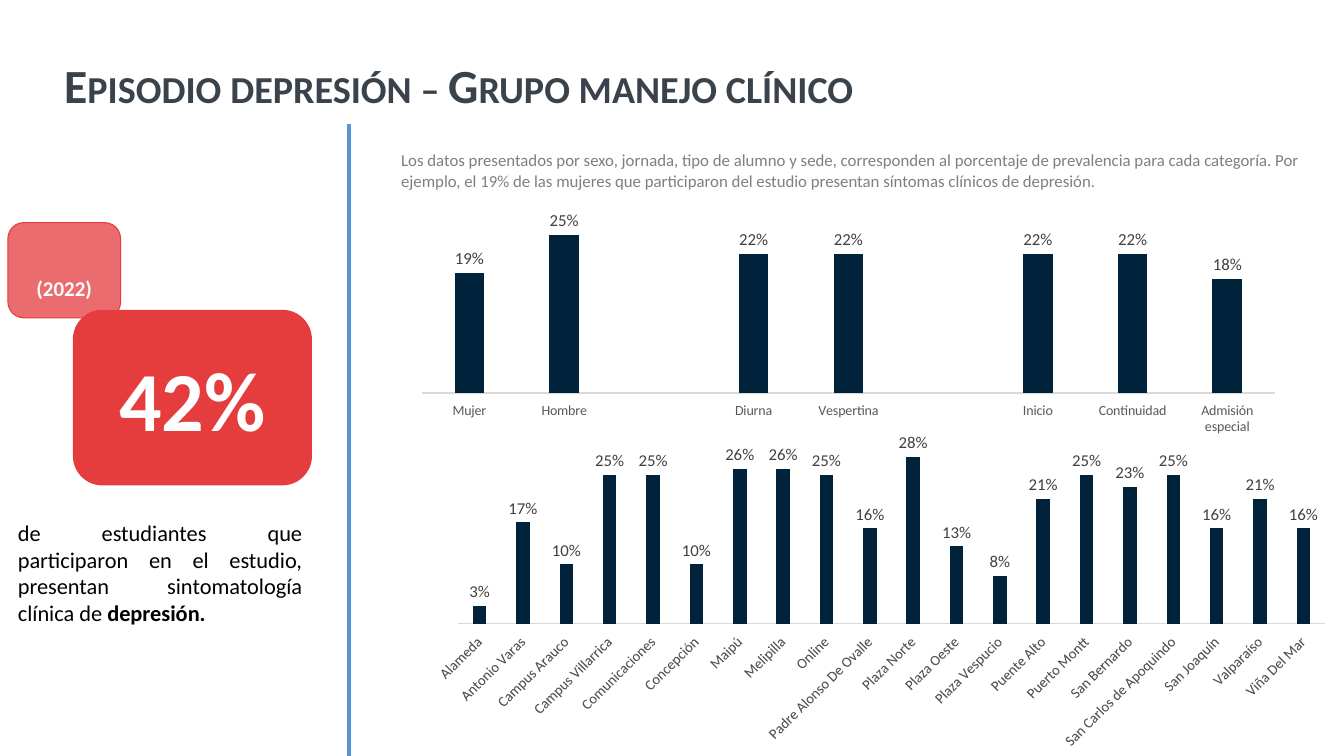
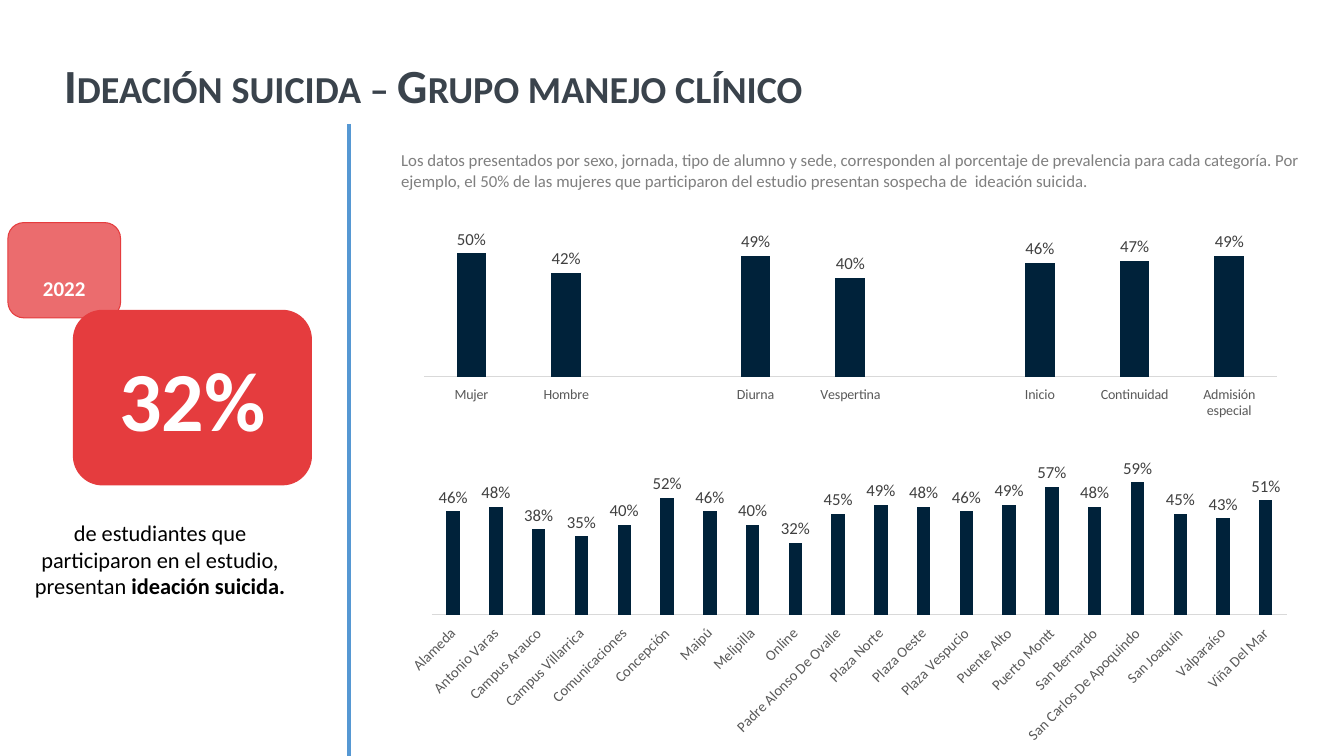
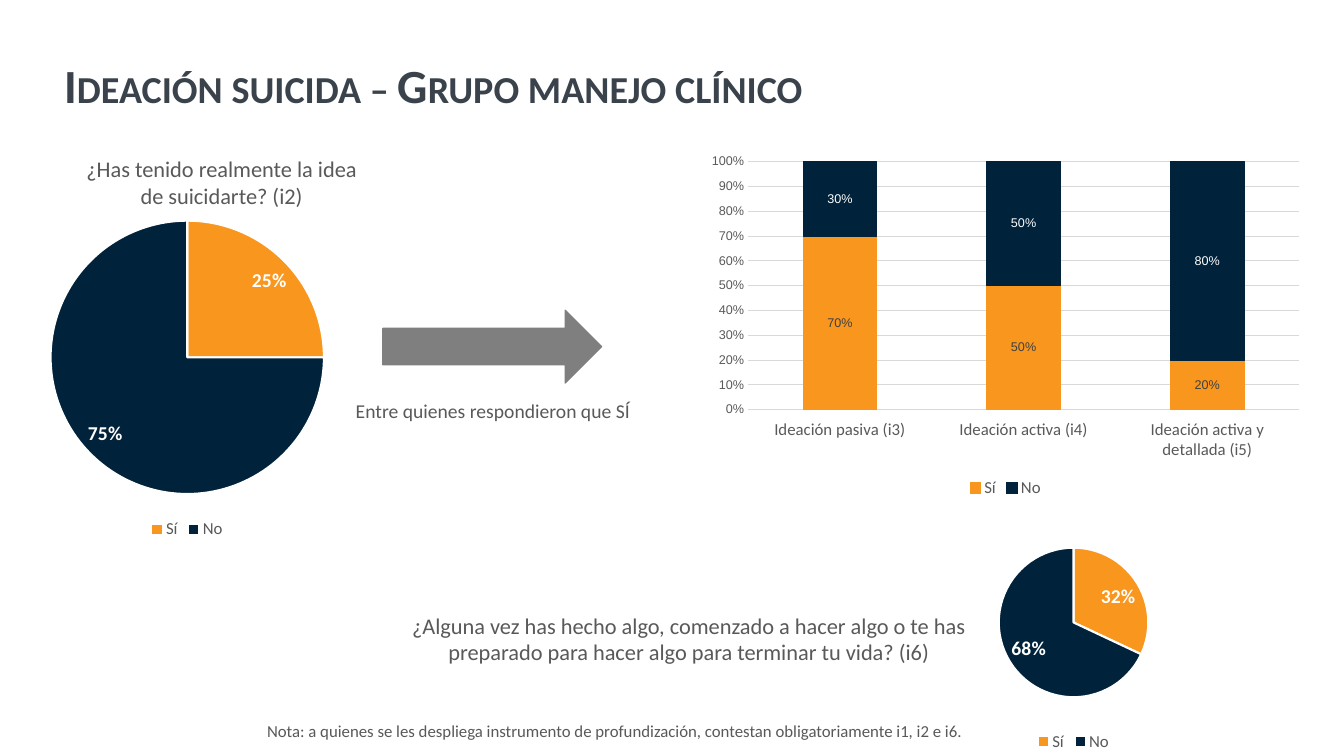
from dataclasses import dataclass

from lxml.etree import SubElement
from pptx import Presentation
from pptx.chart.data import CategoryChartData
from pptx.dml.color import RGBColor
from pptx.enum.chart import (
    XL_CHART_TYPE, XL_LABEL_POSITION, XL_LEGEND_POSITION, XL_TICK_LABEL_POSITION, XL_TICK_MARK,
)
from pptx.enum.shapes import MSO_CONNECTOR, MSO_SHAPE
from pptx.enum.text import MSO_ANCHOR, MSO_AUTO_SIZE, PP_ALIGN
from pptx.oxml.ns import qn
from pptx.util import Cm, Pt

COLORS = {
    "title": "3A434C", "accent": "E53C3E", "divider": "5698D3", "navy": "00223A",
    "orange": "F8961E", "note": "7F7F7F", "text": "595959", "label": "404040",
    "grid": "D9D9D9", "black": "000000", "white": "FFFFFF",
}
FONT = "Calibri"
CHART_FONT = "Arial"
PERCENT = "0%"
GROUPS = ["Mujer", "Hombre", "", "Diurna", "Vespertina", "",
          "Inicio", "Continuidad", "Admisión especial"]
CAMPUSES = ["Alameda", "Antonio Varas", "Campus Arauco", "Campus Villarrica", "Comunicaciones",
            "Concepción", "Maipú", "Melipilla", "Online", "Padre Alonso De Ovalle",
            "Plaza Norte", "Plaza Oeste", "Plaza Vespucio", "Puente Alto", "Puerto Montt",
            "San Bernardo", "San Carlos de Apoquindo", "San Joaquín", "Valparaíso",
            "Viña Del Mar"]
ANSWERS = ["Sí", "No"]
ANSWER_COLORS = ["orange", "navy"]


@dataclass
class Box:
    """A rectangle in centimetres."""
    left: float
    top: float
    width: float
    height: float

    def inner(self, left, top, width, height):
        """Return a box whose position is counted from this box's corner."""
        return Box(self.left + left, self.top + top, width, height)

    def lengths(self):
        return Cm(self.left), Cm(self.top), Cm(self.width), Cm(self.height)


LEFT_PANEL = Box(0, 3.12, 8.79, 15.93)
RIGHT_PANEL = Box(9.86, 3.66, 23.52, 15.39)


def rgb(name):
    return RGBColor.from_string(COLORS[name])


def set_font(font, size, color, bold=False, name=FONT):
    font.name = name
    font.size = Pt(size)
    font.bold = bold
    font.color.rgb = rgb(color)


def set_line(line, color, width=0.75):
    line.color.rgb = rgb(color)
    line.width = Pt(width)


def fill_solid(fill, color):
    fill.solid()
    fill.fore_color.rgb = rgb(color)


def add_run(paragraph, text, size, color, bold=False):
    run = paragraph.add_run()
    run.text = text
    set_font(run.font, size, color, bold)
    return run


def add_text(slide, box, paragraphs, size, color, align=PP_ALIGN.LEFT):
    """Add a text box; each paragraph is a list of (text, bold) runs."""
    frame = slide.shapes.add_textbox(*box.lengths()).text_frame
    frame.word_wrap = True
    frame.auto_size = MSO_AUTO_SIZE.SHAPE_TO_FIT_TEXT
    for index, runs in enumerate(paragraphs):
        paragraph = frame.add_paragraph() if index else frame.paragraphs[0]
        paragraph.alignment = align
        for text, bold in runs:
            add_run(paragraph, text, size, color, bold)


def add_filled_shape(slide, kind, box, color, line_width=0.75):
    shape = slide.shapes.add_shape(kind, *box.lengths())
    shape.shadow.inherit = False
    fill_solid(shape.fill, color)
    set_line(shape.line, color, line_width)
    return shape


def add_badge(slide, box, text, size):
    badge = add_filled_shape(slide, MSO_SHAPE.ROUNDED_RECTANGLE, box, "accent")
    frame = badge.text_frame
    frame.word_wrap = True
    frame.vertical_anchor = MSO_ANCHOR.MIDDLE
    paragraph = frame.paragraphs[0]
    paragraph.alignment = PP_ALIGN.CENTER
    add_run(paragraph, text, size, "white", True)
    return badge


def add_title_slide_base(presentation, title):
    """Add a blank slide with the shared title."""
    slide = presentation.slides.add_slide(presentation.slide_layouts[6])
    frame = slide.shapes.add_textbox(*Box(1.37, 1.02, 32.33, 2.39).lengths()).text_frame
    frame.word_wrap = True
    frame.vertical_anchor = MSO_ANCHOR.MIDDLE
    paragraph = frame.paragraphs[0]
    paragraph.line_spacing = 0.9
    run = add_run(paragraph, title, 34, "title", True)
    run.font._element.set("cap", "small")
    return slide


def add_chart(slide, box, kind, categories, series):
    """Add a chart; series maps each name to its values."""
    data = CategoryChartData(number_format=PERCENT)
    data.categories = categories
    for name, values in series.items():
        data.add_series(name, values)
    chart = slide.shapes.add_chart(kind, *box.lengths(), data).chart
    chart.has_title = False
    chart.has_legend = False
    set_font(chart.font, 10, "black", name=CHART_FONT)
    return chart


def add_legend(chart):
    chart.has_legend = True
    chart.legend.position = XL_LEGEND_POSITION.BOTTOM
    chart.legend.include_in_layout = False
    set_font(chart.legend.font, 12, "text")


def label_series(series, position, size, color, bold=False, name=FONT):
    labels = series.data_labels
    labels.show_value = True
    labels.number_format = PERCENT
    labels.number_format_is_linked = False
    labels.position = position
    set_font(labels.font, size, color, bold, name)


def style_category_axis(axis, size):
    axis.major_tick_mark = XL_TICK_MARK.NONE
    axis.minor_tick_mark = XL_TICK_MARK.NONE
    axis.tick_label_position = XL_TICK_LABEL_POSITION.LOW
    set_line(axis.format.line, "grid")
    set_font(axis.tick_labels.font, size, "text")


def add_prevalence_chart(slide, box, categories, values, label_size, slanted=False, maximum=None):
    chart = add_chart(slide, box, XL_CHART_TYPE.COLUMN_CLUSTERED, categories,
                      {"Prevalencia": values})
    style_category_axis(chart.category_axis, label_size)
    if slanted:
        body = chart.category_axis._element.find(qn("c:txPr")).find(qn("a:bodyPr"))
        body.set("rot", "-2700000")
        body.set("vert", "horz")
    axis = chart.value_axis
    axis.has_major_gridlines = False
    axis.visible = False
    axis.minimum_scale = 0
    if maximum:
        axis.maximum_scale = maximum
    plot = chart.plots[0]
    plot.vary_by_categories = False
    plot.gap_width = 219
    plot.overlap = -27
    series = plot.series[0]
    fill_solid(series.format.fill, "navy")
    label_series(series, XL_LABEL_POSITION.OUTSIDE_END, 12, "label")


def add_answer_pie(slide, box, values):
    chart = add_chart(slide, box, XL_CHART_TYPE.PIE, ANSWERS, {"Respuestas": values})
    add_legend(chart)
    chart.plots[0].vary_by_categories = True
    series = chart.plots[0].series[0]
    for index, color in enumerate(ANSWER_COLORS):
        point = series.points[index]
        fill_solid(point.format.fill, color)
        set_line(point.format.line, "white", 1.5)
    label_series(series, XL_LABEL_POSITION.BEST_FIT, 14, "white", True)


def add_answer_columns(slide, box, categories, yes_values, no_values):
    chart = add_chart(slide, box, XL_CHART_TYPE.COLUMN_STACKED, categories,
                      dict(zip(ANSWERS, (yes_values, no_values))))
    add_legend(chart)
    style_category_axis(chart.category_axis, 12)
    axis = chart.value_axis
    axis.minimum_scale = 0
    axis.maximum_scale = 1
    axis.major_unit = 0.1
    axis.major_tick_mark = XL_TICK_MARK.NONE
    axis.minor_tick_mark = XL_TICK_MARK.NONE
    axis.format.line.fill.background()
    set_line(axis.major_gridlines.format.line, "grid")
    axis.tick_labels.number_format = PERCENT
    axis.tick_labels.number_format_is_linked = False
    set_font(axis.tick_labels.font, 9, "text", name=CHART_FONT)
    plot = chart.plots[0]
    plot.vary_by_categories = False
    plot.gap_width = 150
    plot.overlap = 100
    for series, color, label_color in zip(plot.series, ANSWER_COLORS, ("label", "white")):
        fill_solid(series.format.fill, color)
        set_line(series.format.line, color)
        label_series(series, XL_LABEL_POSITION.CENTER, 9, label_color, name=CHART_FONT)


def add_finding_panel(slide, box, year, share, runs, align):
    """Place the year, the headline share and its reading, closed by a divider."""
    add_badge(slide, box.inner(1.85, 4.7, 6, 4.4), share, 60)
    year_badge = add_badge(slide, box.inner(0.2, 2.49, 2.84, 2.4), year, 15)
    year_badge.text_frame.vertical_anchor = MSO_ANCHOR.BOTTOM
    year_badge.text_frame.margin_bottom = Cm(0.32)
    color = year_badge._element.spPr.find(qn("a:solidFill")).find(qn("a:srgbClr"))
    SubElement(color, qn("a:alpha")).set("val", "75000")
    add_text(slide, box.inner(0.2, 9.83, 7.67, 3), [runs], 16, "black", align)
    right = Cm(box.left + box.width)
    divider = slide.shapes.add_connector(MSO_CONNECTOR.STRAIGHT, right, Cm(box.top),
                                         right, Cm(box.top + box.height))
    set_line(divider.line, "divider", 3)
    SubElement(divider._element.spPr, qn("a:effectLst"))


def add_prevalence_panel(slide, box, example, group_box, group_values,
                         campus_box, campuses, campus_values, campus_maximum=None):
    """Place the reading note and two charts, whose boxes are counted from the panel."""
    note = ("Los datos presentados por sexo, jornada, tipo de alumno y sede, corresponden al "
            "porcentaje de prevalencia para cada categoría. Por ejemplo, " + example)
    add_text(slide, box.inner(0, 0, box.width, 1.27), [[(note, False)]], 12, "note")
    add_prevalence_chart(slide, box.inner(*group_box), GROUPS, group_values, 10)
    add_prevalence_chart(slide, box.inner(*campus_box), campuses, campus_values, 10.5,
                         slanted=True, maximum=campus_maximum)


def add_idea_region(slide, box):
    question = [[("¿Has tenido realmente la idea", False)], [("de suicidarte? (i2)", False)]]
    add_text(slide, box.inner(2.39, 0, 12.19, 1.63), question, 16, "text", PP_ALIGN.CENTER)
    add_answer_pie(slide, box.inner(0, 1.43, 15.24, 8.48), [0.25, 0.75])


def add_filter_region(slide, box):
    add_filled_shape(slide, MSO_SHAPE.RIGHT_ARROW, box.inner(1.62, 0, 5.51, 1.83), "note", 1)
    add_text(slide, box.inner(0, 2.11, box.width, 0.86),
             [[("Entre quienes respondieron que SÍ", False)]], 14, "text", PP_ALIGN.CENTER)


def add_attempt_region(slide, box):
    question = ("¿Alguna vez has hecho algo, comenzado a hacer algo o te has preparado para "
                "hacer algo para terminar tu vida? (i6)")
    add_text(slide, box.inner(0, 2.08, 15.42, 1.63), [[(question, False)]], 16, "text",
             PP_ALIGN.CENTER)
    add_answer_pie(slide, box.inner(12.35, 0, 10.11, 5.84), [0.32, 0.68])


def build_depression_slide(presentation):
    slide = add_title_slide_base(presentation, "Episodio depresión – Grupo manejo clínico")
    add_finding_panel(
        slide, LEFT_PANEL, "(2022)", "42%",
        [("de estudiantes que participaron en el estudio, presentan sintomatología clínica de ",
          False), ("depresión.", True)], PP_ALIGN.JUSTIFY)
    add_prevalence_panel(
        slide, RIGHT_PANEL,
        "el 19% de las mujeres que participaron del estudio presentan síntomas clínicos "
        "de depresión.",
        (0.33, 1.34, 22.38, 6.07),
        [0.19, 0.25, None, 0.22, 0.22, None, 0.22, 0.22, 0.18],
        (0.66, 7.26, 23.34, 8.13), CAMPUSES,
        [0.03, 0.17, 0.1, 0.25, 0.25, 0.1, 0.26, 0.26, 0.25, 0.16,
         0.28, 0.13, 0.08, 0.21, 0.25, 0.23, 0.25, 0.16, 0.21, 0.16])


def build_ideation_slide(presentation):
    slide = add_title_slide_base(presentation, "Ideación suicida – Grupo manejo clínico")
    add_finding_panel(
        slide, LEFT_PANEL, "2022", "32%",
        [("de estudiantes que participaron en el estudio, presentan", False),
         (" ideación suicida.", True)], PP_ALIGN.CENTER)
    add_prevalence_panel(
        slide, RIGHT_PANEL,
        "el 50% de las mujeres que participaron del estudio presentan sospecha de  "
        "ideación suicida.",
        (0.38, 2, 22.38, 4.98),
        [0.5, 0.42, None, 0.49, 0.4, None, 0.46, 0.47, 0.49],
        (0, 7.72, 23.04, 7.52),
        [campus.replace(" de ", " De ") for campus in CAMPUSES],
        [0.46, 0.48, 0.38, 0.35, 0.4, 0.52, 0.46, 0.4, 0.32, 0.45,
         0.49, 0.48, 0.46, 0.49, 0.57, 0.48, 0.59, 0.45, 0.43, 0.51],
        campus_maximum=0.7)


def build_ideation_detail_slide(presentation):
    slide = add_title_slide_base(presentation, "Ideación suicida – Grupo manejo clínico")
    add_idea_region(slide, Box(-2.9, 3.78, 15.24, 9.91))
    add_filter_region(slide, Box(8.03, 7.82, 8.79, 2.97))
    add_answer_columns(
        slide, Box(17.63, 3.71, 15.42, 8.94),
        ["Ideación pasiva (i3)", "Ideación activa (i4)", "Ideación activa y detallada (i5)"],
        [0.7, 0.5, 0.2], [0.3, 0.5, 0.8])
    add_attempt_region(slide, Box(9.65, 13.21, 22.46, 5.84))
    note = ("Nota: a quienes se les despliega instrumento de profundización, contestan "
            "obligatoriamente i1, i2 e i6.")
    add_text(slide, Box(6.48, 18.03, 18.75, 0.76), [[(note, False)]], 12, "text")


def main():
    presentation = Presentation()
    presentation.slide_width = Cm(33.87)
    presentation.slide_height = Cm(19.05)
    build_depression_slide(presentation)
    build_ideation_slide(presentation)
    build_ideation_detail_slide(presentation)
    presentation.save("out.pptx")


if __name__ == "__main__":
    main()
